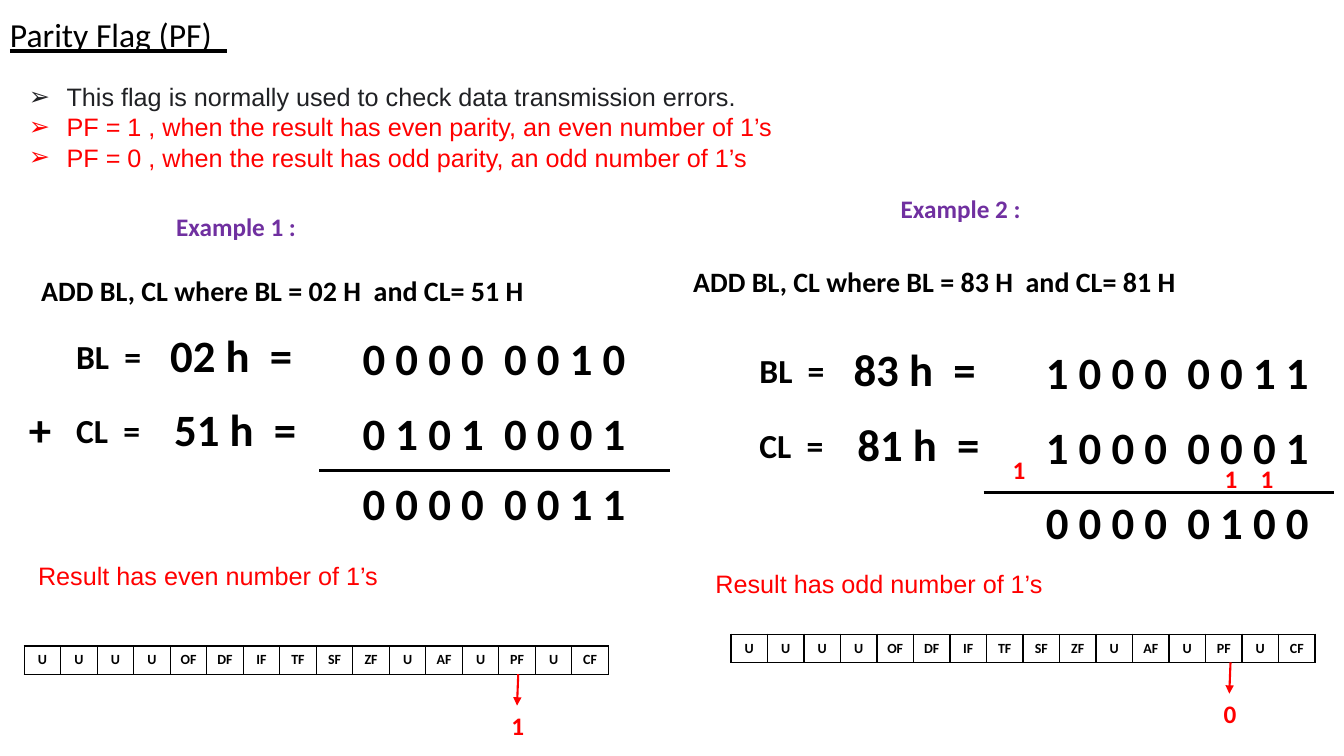
from lxml import etree
from pptx import Presentation
from pptx.dml.color import RGBColor
from pptx.enum.shapes import MSO_CONNECTOR
from pptx.enum.text import MSO_ANCHOR, MSO_AUTO_SIZE, PP_ALIGN
from pptx.oxml.ns import qn
from pptx.util import Cm, Pt

STRAIGHT = MSO_CONNECTOR.STRAIGHT
MIDDLE = MSO_ANCHOR.MIDDLE
GROW = MSO_AUTO_SIZE.SHAPE_TO_FIT_TEXT
CENTER = PP_ALIGN.CENTER

BLACK, RED, PURPLE, INK = "000000", "FF0000", "7030A0", "202124"
FLAGS = "U U U U OF DF IF TF SF ZF U AF U PF U CF".split()
CELL_W, CELL_H = 0.92, 0.71
ROW_GAP = 1.88
BORDERS = ("a:lnL", "a:lnR", "a:lnT", "a:lnB")


def rgb(color):
    return RGBColor.from_string(color)


def write(p, text, size=18, color=BLACK, font="Calibri", bold=False, underline=False):
    r = p.add_run()
    r.text = text
    r.font.size = Pt(size)
    r.font.name = font
    r.font.bold = bold
    r.font.underline = underline
    r.font.color.rgb = rgb(color)


def text_box(s, x, y, w, h, wrap=True):
    tf = s.shapes.add_textbox(Cm(x), Cm(y), Cm(w), Cm(h)).text_frame
    tf.word_wrap = wrap
    tf.auto_size = GROW
    return tf


def label(s, text, x, y, w, h, wrap=True, **fmt):
    write(text_box(s, x, y, w, h, wrap).paragraphs[0], text, **fmt)


def red_digit(s, text, x, y):
    label(s, text, x, y, 0.84, 1.02, wrap=False, color=RED, bold=True)


def bullet(p):
    pPr = p._p.get_or_add_pPr()
    pPr.set("marL", str(Cm(0.95)))
    pPr.set("indent", str(-Cm(0.95)))
    etree.SubElement(pPr, qn("a:buFont"), typeface="Arial")
    etree.SubElement(pPr, qn("a:buChar"), char="➢")


def line(s, x1, y1, x2, y2, color, width, arrow=False):
    c = s.shapes.add_connector(STRAIGHT, Cm(x1), Cm(y1), Cm(x2), Cm(y2))
    c.line.color.rgb = rgb(color)
    c.line.width = Pt(width)
    if arrow:
        etree.SubElement(c.line._get_or_add_ln(), qn("a:tailEnd"), type="triangle")
    etree.SubElement(c._element.spPr, qn("a:effectLst"))


def add_borders(cell):
    tcPr = cell._tc.get_or_add_tcPr()
    for i, tag in enumerate(BORDERS):
        ln = etree.Element(qn(tag), w=str(Pt(1)))
        fill = etree.SubElement(ln, qn("a:solidFill"))
        etree.SubElement(fill, qn("a:srgbClr"), val=BLACK)
        tcPr.insert(i, ln)


def flag_register(s, x, y, arrow_x, value):
    width = CELL_W * len(FLAGS)
    table = s.shapes.add_table(1, len(FLAGS), Cm(x), Cm(y), Cm(width), Cm(CELL_H)).table
    table.first_row = table.horz_banding = False
    for i, flag in enumerate(FLAGS):
        table.columns[i].width = Cm(CELL_W)
        cell = table.cell(0, i)
        cell.fill.background()
        cell.margin_left = cell.margin_right = 0
        cell.vertical_anchor = MIDDLE
        p = cell.text_frame.paragraphs[0]
        p.alignment = CENTER
        write(p, flag, size=10, bold=True)
        add_borders(cell)
    bottom = y + CELL_H
    line(s, arrow_x, bottom, arrow_x - 0.03, bottom + 0.79, RED, 1.5, arrow=True)
    red_digit(s, value, arrow_x - 0.42, bottom + 0.79)


def addition(s, x, y, operands, total, total_y):
    for i, (register, number, bits) in enumerate(operands):
        row_y = y + i * ROW_GAP
        label(s, f"{register}  =", x + 1.67, row_y + 0.2, 2.36, 1.27, wrap=False, size=24, bold=True)
        label(s, f"{number} h  =", x + 4.04 + i * 0.1, row_y, 4.5, 1.63, size=32, bold=True)
        label(s, bits, x + 8.89, row_y + 0.08, 8, 1.63, size=32, bold=True)
    label(s, total, x + 8.89, total_y, 8, 1.63, size=32, bold=True)


def heading(s, number, x, y):
    label(s, f"Example {number} :", x, y, 3.66, 1.02, color=PURPLE, bold=True)


def task(s, text, x, y):
    label(s, text, x, y, 15, 1.12, size=20, bold=True)


def verdict(s, text, x, y):
    label(s, text, x, y, 10.62, 1.02, color=RED, font="Arial")


def example_1(s):
    heading(s, 1, 4.19, 5.21)
    task(s, "ADD BL, CL where BL = 02 H  and CL= 51 H", 0.79, 6.76)
    addition(s, 0, 8.13, [("BL", "02", "0 0 0 0  0 0 1 0"), ("CL", "51", "0 1 0 1  0 0 0 1")],
             "0 0 0 0  0 0 1 1", 11.86)
    label(s, "+", 0.48, 10.01, 2.08, 1.63, size=32, bold=True)
    line(s, 8.05, 11.86, 16.89, 11.86, BLACK, 2.25)
    verdict(s, "Result has even number of 1’s", 0.71, 14)
    flag_register(s, 0.61, 16.28, 13.06, "1")


def example_2(s):
    heading(s, 2, 22.45, 4.75)
    task(s, "ADD BL, CL where BL = 83 H  and CL= 81 H", 17.22, 6.55)
    addition(s, 17.22, 8.49, [("BL", "83", "1 0 0 0  0 0 1 1"), ("CL", "81", "1 0 0 0  0 0 0 1")],
             "0 0 0 0  0 1 0 0", 12.34)
    line(s, 24.79, 12.42, 33.63, 12.42, BLACK, 2.25)
    for x, y in [(25.27, 11.33), (30.61, 11.56), (31.52, 11.56)]:
        red_digit(s, "1", x, y)
    verdict(s, "Result has odd number of 1’s", 17.78, 14.2)
    flag_register(s, 18.42, 15.98, 31.01, "0")


def main():
    prs = Presentation()
    prs.slide_width, prs.slide_height = Cm(33.87), Cm(19.05)
    s = prs.slides.add_slide(prs.slide_layouts[6])
    label(s, "Parity Flag (PF)  ", 0, 0.23, 6.02, 1.27, wrap=False, size=24, underline=True)
    facts = [
        ("This flag is normally used to check data transmission errors.", INK),
        ("PF = 1 , when the result has even parity, an even number of 1’s", RED),
        ("PF = 0 , when the result has odd parity, an odd number of 1’s", RED),
    ]
    tf = text_box(s, 0.48, 1.93, 31.62, 2.57)
    for i, (fact, color) in enumerate(facts):
        p = tf.add_paragraph() if i else tf.paragraphs[0]
        bullet(p)
        write(p, fact, color=color, font="Arial")
    example_1(s)
    example_2(s)
    prs.save("out.pptx")


if __name__ == "__main__":
    main()
